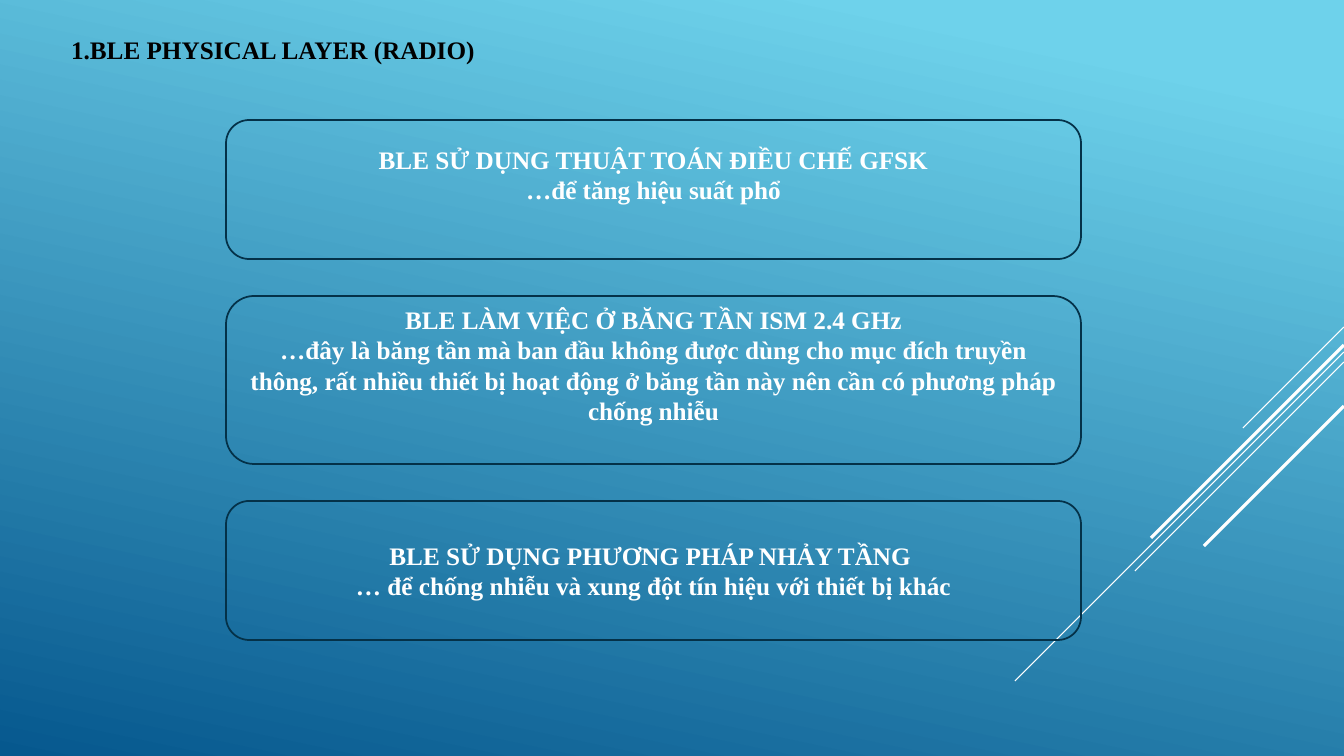
"""Build the slide on the BLE physical layer."""
from lxml.etree import SubElement
from pptx import Presentation
from pptx.dml.color import RGBColor
from pptx.enum.shapes import MSO_CONNECTOR as Link, MSO_SHAPE as Shape
from pptx.enum.text import MSO_ANCHOR as Anchor, MSO_AUTO_SIZE as Fit, PP_ALIGN as Align
from pptx.oxml.ns import qn
from pptx.util import Pt

WHITE = RGBColor(0xFF, 0xFF, 0xFF)
BLACK = RGBColor(0, 0, 0)
NAVY = RGBColor(0x04, 0x31, 0x48)
SKY = RGBColor(0x6E, 0xD2, 0xEB)
DEEP = RGBColor(0x06, 0x58, 0x8E)
FONT = "Times New Roman"
WIDE, HIGH = 1344, 756
LEFT, SPAN, TOP, GAP = 226, 855, 120, 37

TITLE = "1.BLE PHYSICAL LAYER (RADIO)"
CARDS = [
    (139, 35, [
        "BLE S\u01af\u0309 DU\u0323NG THU\u00c2\u0323T TOA\u0301N "
        "\u0110I\u00ca\u0300U CH\u00ca\u0301 GFSK",
        "\u2026\u0111\u00ea\u0309 t\u0103ng hi\u00ea\u0323u su\u00e2\u0301t ph\u00f4\u0309"]),
    (168, 35, [
        "BLE LA\u0300M VI\u00ca\u0323C \u01a0\u0309 B\u0102NG T\u00c2\u0300N ISM 2.4 GHz",
        "\u2026\u0111\u00e2y la\u0300 b\u0103ng t\u00e2\u0300n ma\u0300 ban "
        "\u0111\u00e2\u0300u kh\u00f4ng \u0111\u01b0\u01a1\u0323c du\u0300ng cho "
        "mu\u0323c \u0111i\u0301ch truy\u00ea\u0300n th\u00f4ng, r\u00e2\u0301t "
        "nhi\u00ea\u0300u thi\u00ea\u0301t bi\u0323 hoa\u0323t \u0111\u00f4\u0323ng "
        "\u01a1\u0309 b\u0103ng t\u00e2\u0300n na\u0300y n\u00ean c\u00e2\u0300n "
        "co\u0301 ph\u01b0\u01a1ng pha\u0301p ch\u00f4\u0301ng nhi\u00ea\u0303u"]),
    (139, 5, [
        "BLE S\u01af\u0309 DU\u0323NG PH\u01af\u01a0NG PHA\u0301P NHA\u0309Y T\u00c2\u0300NG ",
        "\u2026 \u0111\u00ea\u0309 ch\u00f4\u0301ng nhi\u00ea\u0303u va\u0300 xung "
        "\u0111\u00f4\u0323t ti\u0301n hi\u00ea\u0323u v\u01a1\u0301i "
        "thi\u00ea\u0301t bi\u0323 kha\u0301c"]),
]
RAYS = [(327, 101, 0.75), (352, 329, 0.75), (362, 209, 0.75),
        (345, 193, 2.25), (406, 140, 2.25)]


def px(num):
    return round(num * 914400 / 100.8)


def write(shape, lines, color=WHITE, align=Align.CENTER, anchor=Anchor.MIDDLE,
          wrap=True, fit=Fit.NONE, foot=5):
    frame = shape.text_frame
    frame.text = "\n".join(lines)
    frame.word_wrap, frame.auto_size = wrap, fit
    frame.vertical_anchor, frame.margin_bottom = anchor, px(foot)
    for para in frame.paragraphs:
        para.alignment, para.line_spacing = align, 1.0
        para.space_before = Pt(0)
        font = para.runs[0].font
        font.name, font.size, font.bold = FONT, Pt(18), True
        font.color.rgb = color


deck = Presentation()
deck.slide_width, deck.slide_height = px(WIDE), px(HIGH)
slide = deck.slides.add_slide(deck.slide_layouts[5])

back = slide.background.fill
back.gradient()
back.gradient_angle = 258
for stop, (place, color) in zip(back.gradient_stops, [(0.1, SKY), (1, DEEP)]):
    stop.position, stop.color.rgb = place, color

for top, run, weight in RAYS:
    ray = slide.shapes.add_connector(
        Link.STRAIGHT, px(WIDE), px(top), px(WIDE - run), px(top + run))
    ray.line.color.rgb, ray.line.width = WHITE, Pt(weight)
    SubElement(ray._element.spPr, qn("a:effectLst"))

title = slide.shapes.title
title.left, title.top, title.width, title.height = map(px, (61, 29, 428, 40))
write(title, [TITLE], color=BLACK, align=Align.LEFT, anchor=Anchor.TOP,
      wrap=False, fit=Fit.SHAPE_TO_FIT_TEXT)

top = TOP
for high, foot, lines in CARDS:
    card = slide.shapes.add_shape(
        Shape.ROUNDED_RECTANGLE, *map(px, (LEFT, top, SPAN, high)))
    card.shadow.inherit = False
    card.fill.background()
    card.line.color.rgb, card.line.width = NAVY, Pt(1.25)
    write(card, lines, foot=foot)
    top += high + GAP

deck.save("out.pptx")
